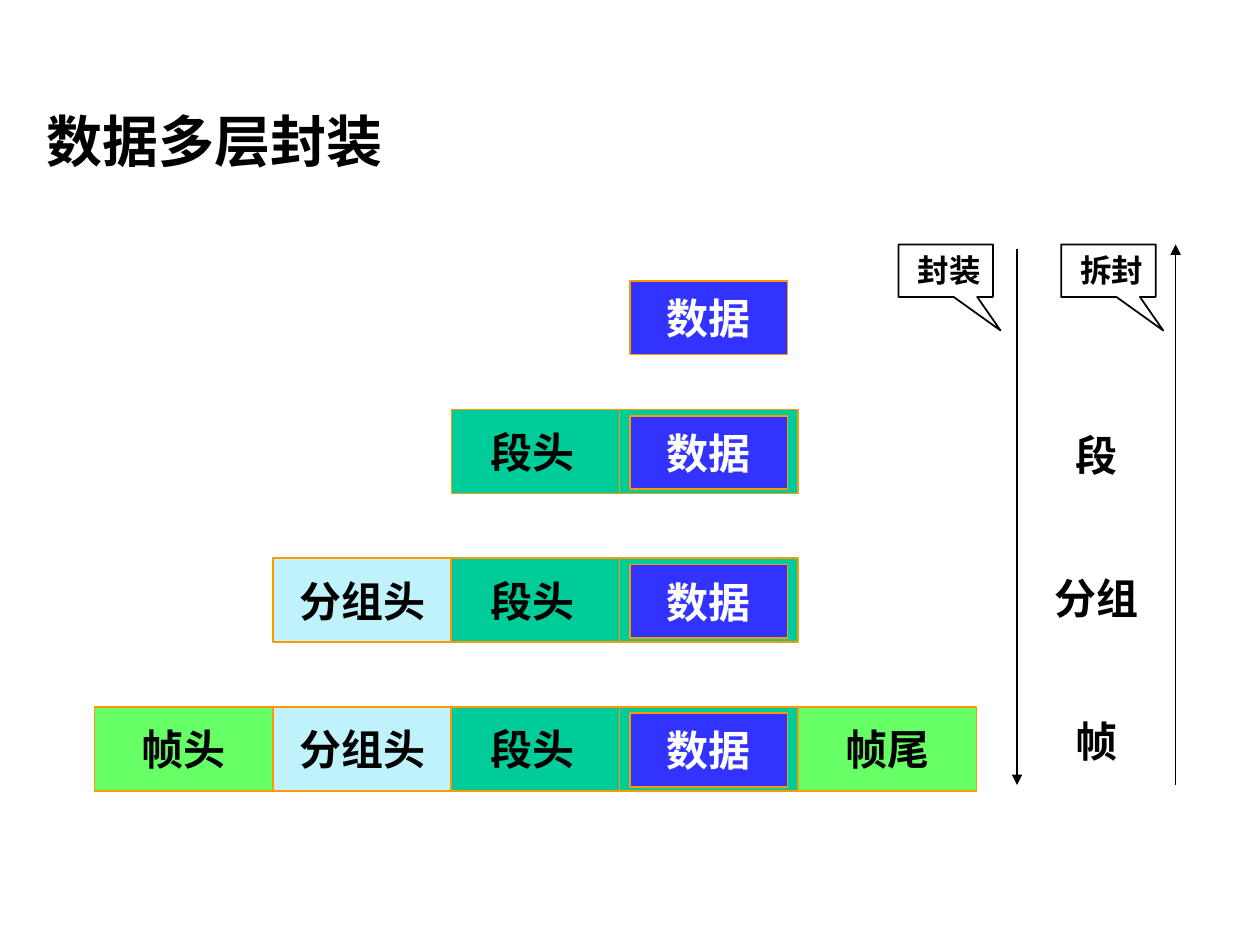
from typing import NamedTuple

import pptx
import pptx.dml.color
import pptx.enum.shapes
import pptx.enum.text
import pptx.oxml
import pptx.oxml.ns
import pptx.util

Pt = pptx.util.Pt
SHAPE = pptx.enum.shapes.MSO_SHAPE
ALIGN = pptx.enum.text.PP_ALIGN
ANCHOR = pptx.enum.text.MSO_ANCHOR

COLORS = {
    "black": "000000",
    "white": "FFFFFF",
    "data": "3333FF",
    "segment": "00CC99",
    "packet": "C0F2FC",
    "frame": "66FF66",
    "border": "FF9900",
}
INSETS = {"margin_left": Pt(7.2), "margin_right": Pt(7.2),
          "margin_top": Pt(3.6), "margin_bottom": Pt(3.6)}

# Columns of the encapsulation diagram
HEADER_W, SEGMENT_W, DATA_W = 102, 198, 90
ROW_H, DATA_H, DATA_DROP = 48, 42, 3.6
FRAME_X = 54
PACKET_X = FRAME_X + HEADER_W
SEGMENT_X = PACKET_X + HEADER_W
TRAILER_X = SEGMENT_X + SEGMENT_W
DIVIDER_X, DATA_X = 354, 360
ROW_TOP, ROW_STEP = 234, 85
CALLOUT_Y, ARROW_END = 139.7, 448.6


class Box(NamedTuple):
    left: float
    top: float
    width: float
    height: float


class Cell(NamedTuple):
    text: str
    left: float
    color: str


class Callout(NamedTuple):
    text: str
    left: float
    font: str


class Arrow(NamedTuple):
    x: float
    start: float
    end: float


PACKET = Cell("分组头", PACKET_X, "packet")
FRAME = Cell("帧头", FRAME_X, "frame")
TRAILER = Cell("帧尾", TRAILER_X, "frame")
ROWS = [[], [PACKET], [FRAME, PACKET, TRAILER]]
CALLOUTS = [Callout("封装", 513.4, "Lato"), Callout("拆封", 606.4, "Arial")]
ARROWS = [Arrow(581.2, 142.4, ARROW_END), Arrow(671.8, ARROW_END, CALLOUT_Y)]


def rgb(name: str) -> pptx.dml.color.RGBColor:
    return pptx.dml.color.RGBColor.from_string(COLORS[name])


def write(sp, lines: list[str], size: float, color: str = "black",
          font: str = "Lato", align=ALIGN.CENTER, anchor=ANCHOR.MIDDLE,
          gap: float = 0, **insets) -> None:
    """Fill a shape with bold lines; gap separates the paragraphs."""
    tf = sp.text_frame
    frame = {"word_wrap": True, "vertical_anchor": anchor, **INSETS, **insets}
    for key, value in frame.items():
        setattr(tf, key, value)
    for i, line in enumerate(lines):
        p = tf.add_paragraph() if i else tf.paragraphs[0]
        p.alignment = align
        if i:
            p.space_before = Pt(gap)
        r = p.add_run()
        r.text = line
        for key, value in {"size": Pt(size), "bold": True, "name": font}.items():
            setattr(r.font, key, value)
        r.font.color.rgb = rgb(color)


def add_text(s, box: Box, lines: list[str], size: float, **options) -> None:
    write(s.shapes.add_textbox(*map(Pt, box)), lines, size, **options)


def add_outline(s, kind, box: Box, line: str, fill: str = ""):
    sp = s.shapes.add_shape(kind, *map(Pt, box))
    sp.shadow.inherit = False
    if fill:
        sp.fill.solid()
        sp.fill.fore_color.rgb = rgb(fill)
    else:
        sp.fill.background()
    sp.line.color.rgb = rgb(line)
    sp.line.width = Pt(1)
    return sp


def add_cell(s, box: Box, text: str, fill: str, color: str = "black",
             **options) -> None:
    sp = add_outline(s, SHAPE.RECTANGLE, box, "border", fill)
    write(sp, [text], 24, color, **options)


def add_line(s, x: float, start: float, end: float, color: str,
             width: float, arrow: bool = False) -> None:
    cx = s.shapes.add_connector(pptx.enum.shapes.MSO_CONNECTOR.STRAIGHT,
                                Pt(x), Pt(start), Pt(x), Pt(end))
    cx.line.color.rgb = rgb(color)
    cx.line.width = Pt(width)
    if arrow:
        tail = pptx.oxml.parse_xml(
            f'<a:tailEnd {pptx.oxml.ns.nsdecls("a")} type="triangle"/>')
        cx.line._get_or_add_ln().append(tail)
    cx._element.spPr.append(
        pptx.oxml.parse_xml(f'<a:effectLst {pptx.oxml.ns.nsdecls("a")}/>'))


def add_data(s, top: float) -> None:
    add_cell(s, Box(DATA_X, top, DATA_W, DATA_H), "数据", "data", "white")


def add_row(s, top: float, cells: list[Cell]) -> None:
    """Draw a segment with its data, then the outer layers around it."""
    add_cell(s, Box(SEGMENT_X, top, SEGMENT_W, ROW_H), "段头", "segment",
             align=ALIGN.LEFT, margin_left=Pt(22.5))
    add_data(s, top + DATA_DROP)
    for cell in cells:
        add_cell(s, Box(cell.left, top, HEADER_W, ROW_H), cell.text, cell.color)
    add_line(s, DIVIDER_X, top, top + ROW_H, "border", 0.75)


def add_callout(s, callout: Callout) -> None:
    box = Box(callout.left, CALLOUT_Y, 54, 30)
    add_text(s, box, [callout.text], 18, font=callout.font,
             align=ALIGN.RIGHT, anchor=ANCHOR.TOP)
    sp = add_outline(s, SHAPE.RECTANGULAR_CALLOUT, box, "black")
    sp.adjustments[0], sp.adjustments[1] = 0.58, 1.14


def main() -> None:
    prs = pptx.Presentation()
    prs.slide_width, prs.slide_height = Pt(720), Pt(540)
    s = prs.slides.add_slide(prs.slide_layouts[6])

    # Title
    add_text(s, Box(19.4, 43.2, 672.5, 73.4), ["数据多层封装"], 32,
             font="Arial", align=ALIGN.LEFT)

    # Data and its successive layers
    add_data(s, 160.6)
    for i, cells in enumerate(ROWS):
        add_row(s, ROW_TOP + i * ROW_STEP, cells)

    # Directions of wrapping and unwrapping
    for arrow in ARROWS:
        add_line(s, *arrow, "black", 1, arrow=True)
    for callout in CALLOUTS:
        add_callout(s, callout)

    # Names of the layers
    add_text(s, Box(592.6, 241.9, 67.7, 199.4), ["段", "分组", "帧"], 24,
             anchor=ANCHOR.TOP, gap=52.8)

    prs.save("out.pptx")


if __name__ == "__main__":
    main()
